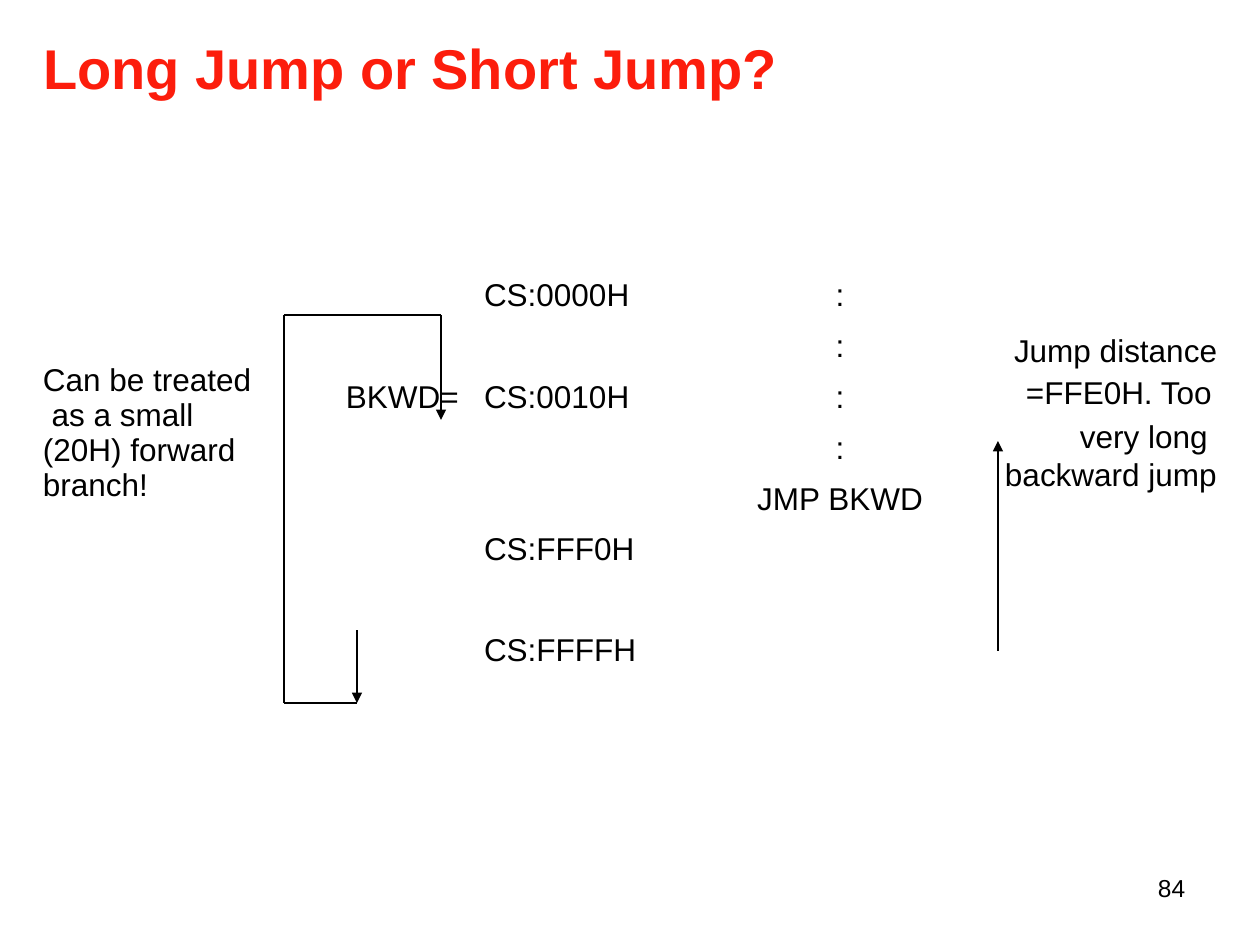
import pptx
import pptx.util
import pptx.dml.color
import pptx.enum.shapes
import pptx.enum.text
import pptx.oxml.ns
from lxml import etree

PX = 914400 / 126
FONT = "Arial"
BLACK = "000000"
RED = "FC1D0C"
ALIGN = pptx.enum.text.PP_ALIGN


def px(length):
    return pptx.util.Emu(round(length * PX))


def color(value):
    return pptx.dml.color.RGBColor.from_string(value)


def add_text(slide, box, lines, size=18, fill=BLACK, bold=False,
             align=ALIGN.LEFT, spacings=(1,), gap=0, indents=(0,)):
    """Place lines as paragraphs; spacings and indents repeat their last value."""
    shape = slide.shapes.add_textbox(*map(px, box))
    frame = shape.text_frame
    frame.word_wrap = True
    frame.margin_left = frame.margin_right = 0
    frame.margin_top = frame.margin_bottom = 0
    for index, line in enumerate(lines):
        paragraph = frame.paragraphs[0] if index == 0 else frame.add_paragraph()
        paragraph.text = line
        paragraph.alignment = align
        paragraph.line_spacing = spacings[min(index, len(spacings) - 1)]
        if index and gap:
            paragraph.space_before = pptx.util.Pt(gap)
        indent = indents[min(index, len(indents) - 1)]
        if indent:
            paragraph._p.get_or_add_pPr().set("marL", str(px(indent)))
        paragraph.font.name = FONT
        paragraph.font.size = pptx.util.Pt(size)
        paragraph.font.bold = bold
        paragraph.font.color.rgb = color(fill)


def add_line(slide, start, end, arrow=False):
    line = slide.shapes.add_connector(
        pptx.enum.shapes.MSO_CONNECTOR.STRAIGHT, *map(px, start + end))
    line.line.color.rgb = color(BLACK)
    line.line.width = pptx.util.Pt(0.75)
    if arrow:
        etree.SubElement(line.line._get_or_add_ln(),
                         pptx.oxml.ns.qn("a:tailEnd"), type="triangle")
    etree.SubElement(line._element.spPr, pptx.oxml.ns.qn("a:effectLst"))


def add_listing(slide, left, top):
    """Addresses, the target label and the instruction column."""
    addresses = {"CS:0000H": 0, "CS:0010H": 102, "CS:FFF0H": 254, "CS:FFFFH": 355}
    for address, offset in addresses.items():
        add_text(slide, (left + 138, top + offset, 170, 42), [address])
    add_text(slide, (left, top + addresses["CS:0010H"], 126, 42), ["BKWD="])
    add_text(slide, (left + 403, top, 182, 243), [":"] * 4 + ["JMP BKWD"],
             align=ALIGN.CENTER, gap=7.5)


def add_forward_branch(slide, left, top):
    """Note and the wrap-around path from the jump to its target."""
    add_text(slide, (left, top + 48, 225, 148),
             ["Can be treated\v as a small\v(20H) forward\vbranch!"],
             spacings=(0.93,))
    outer, jump, target = left + 241, left + 314, left + 398
    bottom = top + 388
    add_line(slide, (target, top), (outer, top))
    add_line(slide, (outer, top), (outer, bottom))
    add_line(slide, (outer, bottom), (jump, bottom))
    add_line(slide, (jump, top + 315), (jump, bottom), arrow=True)
    add_line(slide, (target, top), (target, top + 105), arrow=True)


def add_backward_jump(slide, left, top):
    """Note and the upward arrow for the long jump."""
    add_text(slide, (left + 6, top, 235, 155),
             ["Jump distance", "=FFE0H. Too", "very long", "backward jump"],
             spacings=(1.16, 1.12, 1.16, 1), gap=0, indents=(10, 22, 76, 1))
    add_line(slide, (left, top + 326), (left, top + 116), arrow=True)


def main():
    presentation = pptx.Presentation()
    presentation.slide_width, presentation.slide_height = px(1260), px(945)
    slide = presentation.slides.add_slide(presentation.slide_layouts[6])

    # Title
    add_text(slide, (43, 34, 800, 70), ["Long Jump or Short Jump?"],
             size=32, fill=RED, bold=True)
    # Diagram
    add_listing(slide, 346, 275)
    add_forward_branch(slide, 43, 315)
    add_backward_jump(slide, 998, 325)
    # Slide number
    add_text(slide, (1158, 868, 40, 32), ["84"], size=14, spacings=(1.17,))

    presentation.save("out.pptx")


if __name__ == "__main__":
    main()
